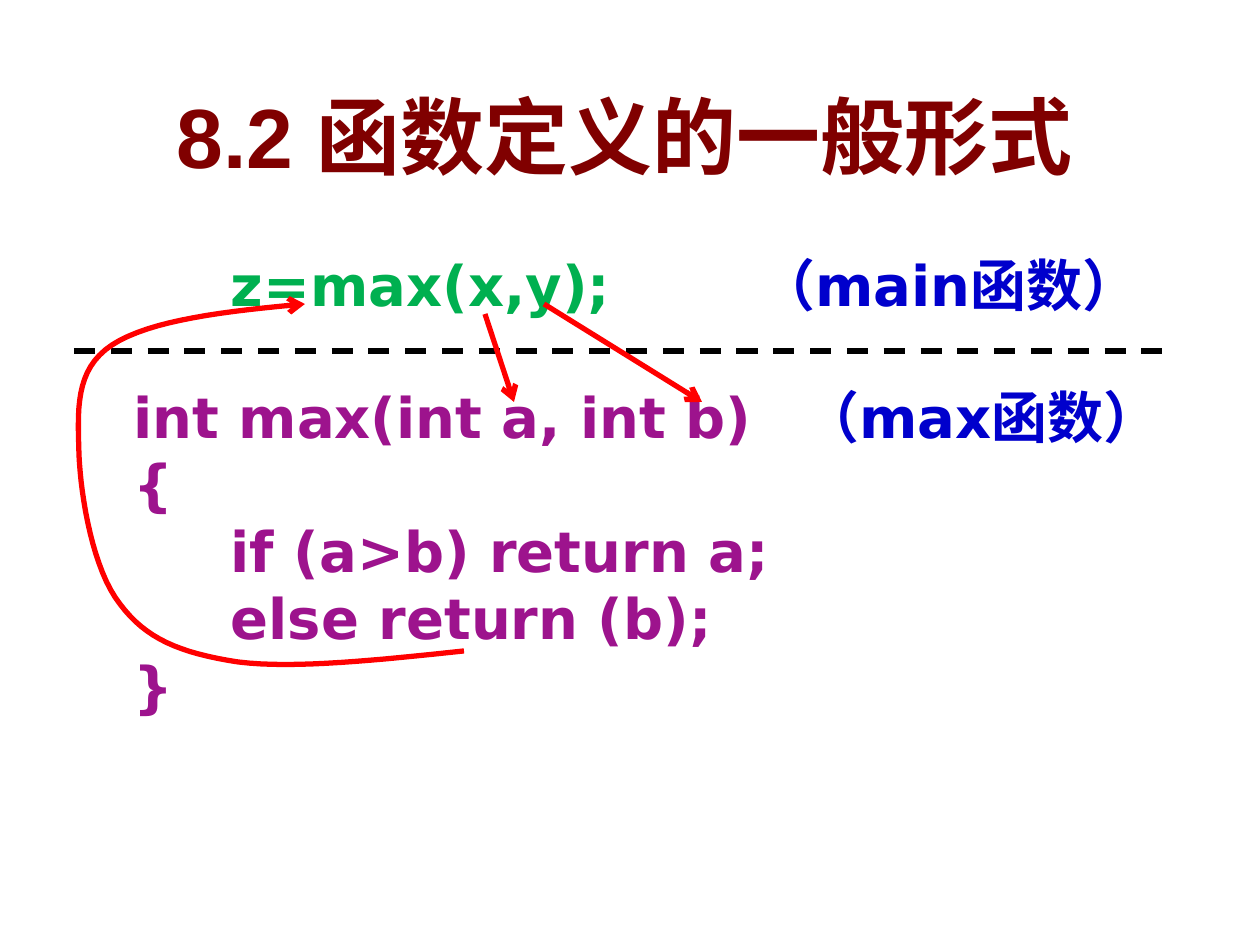
import dataclasses
import lxml.etree
import pptx
import pptx.dml.color
import pptx.enum.dml
import pptx.enum.shapes
import pptx.enum.text
import pptx.oxml.ns
import pptx.util

SCALE = 914400 / 126


@dataclasses.dataclass(frozen=True)
class Theme:
    """Colours, fonts and sizes of the slide."""
    title: str = "800000"
    call: str = "00B050"
    code: str = "9D138D"
    note: str = "0000CC"
    rule: str = "000000"
    arrow: str = "FF0000"
    back: str = "FFFFFF"
    head: str = "Arial"
    body: str = "DejaVu Sans"
    big: int = 48
    size: int = 32
    width: int = 3


THEME = Theme()
CODE = (
    ("     z=max(x,y);", THEME.call, "（main函数）", 626, 0),
    ("int max(int a, int b)", THEME.code, "（max函数）", 670, 37),
    ("{", THEME.code, "", 0, 0),
    ("     if (a>b) return a;", THEME.code, "", 0, 0),
    ("     else return (b);", THEME.code, "", 0, 0),
    ("}", THEME.code, "", 0, 0),
)
LINKS = (((485, 314), (514, 402)), ((544, 304), (702, 402)))
START = (464, 651)
CURVES = (
    ((379, 660), (295, 669), (238, 662)),
    ((180, 653), (146, 639), (120, 604)),
    ((93, 570), (81, 498), (79, 455)),
    ((78, 411), (74, 370), (112, 345)),
    ((150, 320), (227, 311), (305, 304)),
)


def px(num):
    """Turn px into EMU."""
    return pptx.util.Emu(round(num * SCALE))


def tint(code):
    """Turn a hex code into a colour."""
    return pptx.dml.color.RGBColor.from_string(code)


def add(parent, tag, **attrs):
    """Append a drawing element."""
    return lxml.etree.SubElement(parent, pptx.oxml.ns.qn(tag), **attrs)


def style(run, font, size, color):
    """Format one bold run."""
    run.font.name = font
    run.font.size = pptx.util.Pt(size)
    run.font.bold = True
    run.font.color.rgb = tint(color)


def box(slide, left, top, width, height):
    """Add a wrapping text box."""
    shape = slide.shapes.add_textbox(px(left), px(top), px(width), px(height))
    shape.text_frame.word_wrap = True
    return shape


def title(slide, text):
    """Add the centred heading."""
    shape = box(slide, 58, 76, 1134, 118)
    shape.fill.solid()
    shape.fill.fore_color.rgb = tint(THEME.back)
    frame = shape.text_frame
    frame.vertical_anchor = pptx.enum.text.MSO_ANCHOR.MIDDLE
    frame.text = text
    para = frame.paragraphs[0]
    para.alignment = pptx.enum.text.PP_ALIGN.CENTER
    style(para.runs[0], THEME.head, THEME.big, THEME.title)


def code(slide):
    """Add the code lines with their notes at tab stops."""
    frame = box(slide, 121, 244, 1082, 601).text_frame
    for row, (text, color, note, stop, gap) in enumerate(CODE):
        para = frame.add_paragraph() if row else frame.paragraphs[0]
        para.text = text
        style(para.runs[0], THEME.body, THEME.size, color)
        if note:
            tabs = add(para._p.get_or_add_pPr(), "a:tabLst")
            add(tabs, "a:tab", pos=str(px(stop)), algn="l")
            run = para.add_run()
            run.text = "\t" + note
            style(run, THEME.body, THEME.size, THEME.note)
        if gap:
            para.space_before = pptx.util.Pt(gap)


def stroke(shape, color, arrow=True):
    """Set the line of a shape, with or without an arrowhead."""
    shape.line.color.rgb = tint(color)
    shape.line.width = pptx.util.Pt(THEME.width)
    if arrow:
        add(shape.line._get_or_add_ln(), "a:tailEnd", type="arrow")


def line(slide, start, end, color, arrow=True):
    """Add a straight line."""
    kind = pptx.enum.shapes.MSO_CONNECTOR.STRAIGHT
    shape = slide.shapes.add_connector(kind, *map(px, start + end))
    stroke(shape, color, arrow)
    add(shape._element.spPr, "a:effectLst")
    return shape


def bend(points, step):
    """Find a point on a cubic curve."""
    rest = 1 - step
    parts = (rest ** 3, 3 * rest ** 2 * step, 3 * rest * step ** 2, step ** 3)
    return tuple(px(sum(p * n for p, n in zip(parts, axis)))
                 for axis in zip(*points))


def loop(slide, start, curves, steps=16):
    """Add the curved return arrow."""
    path = slide.shapes.build_freeform(*map(px, start), scale=1.0)
    for curve in curves:
        dots = [bend((start,) + curve, n / steps) for n in range(1, steps + 1)]
        path.add_line_segments(dots, close=False)
        start = curve[-1]
    shape = path.convert_to_shape()
    shape.shadow.inherit = False
    shape.fill.background()
    stroke(shape, THEME.arrow)


def main():
    """Build and save the slide."""
    deck = pptx.Presentation()
    deck.slide_width, deck.slide_height = px(1260), px(945)
    slide = deck.slides.add_slide(deck.slide_layouts[6])
    title(slide, "8.2 函数定义的一般形式")
    code(slide)
    rule = line(slide, (74, 351), (1174, 351), THEME.rule, False)
    rule.line.dash_style = pptx.enum.dml.MSO_LINE.DASH
    for start, end in LINKS:
        line(slide, start, end, THEME.arrow)
    loop(slide, START, CURVES)
    deck.save("out.pptx")


if __name__ == "__main__":
    main()
